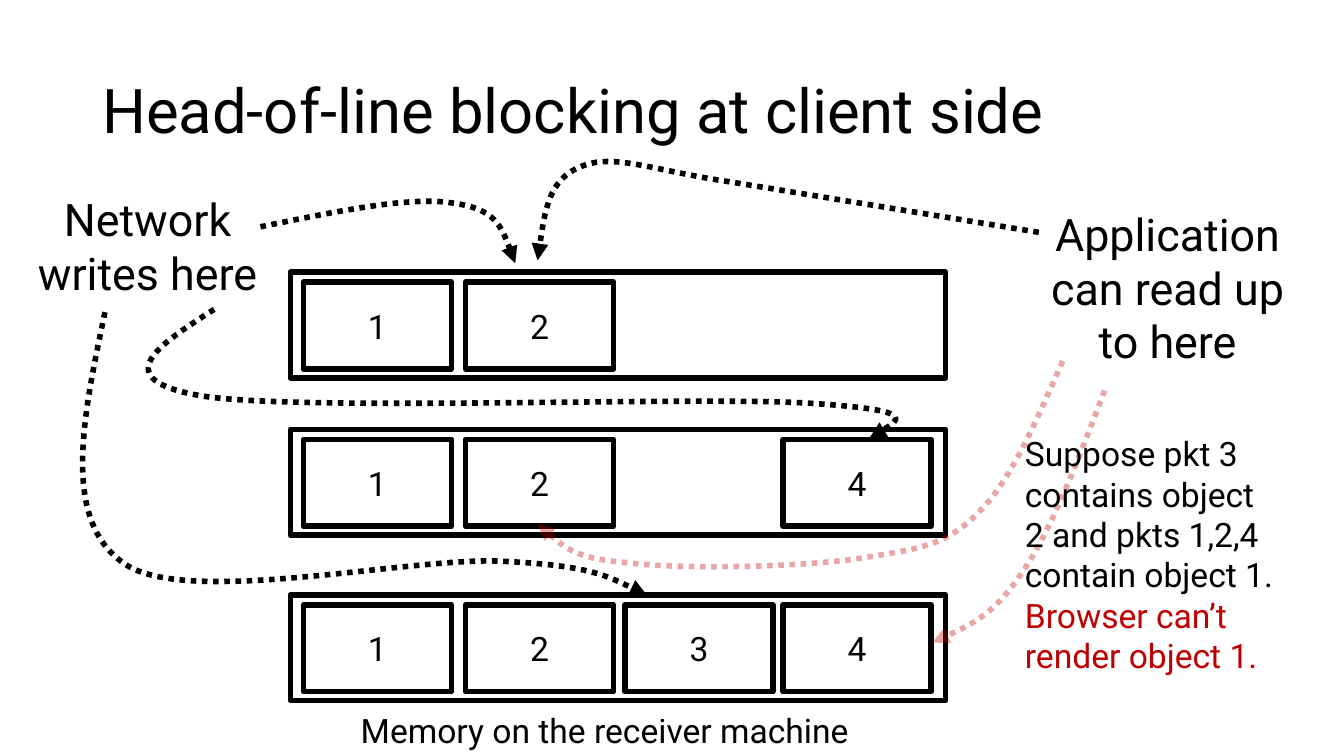
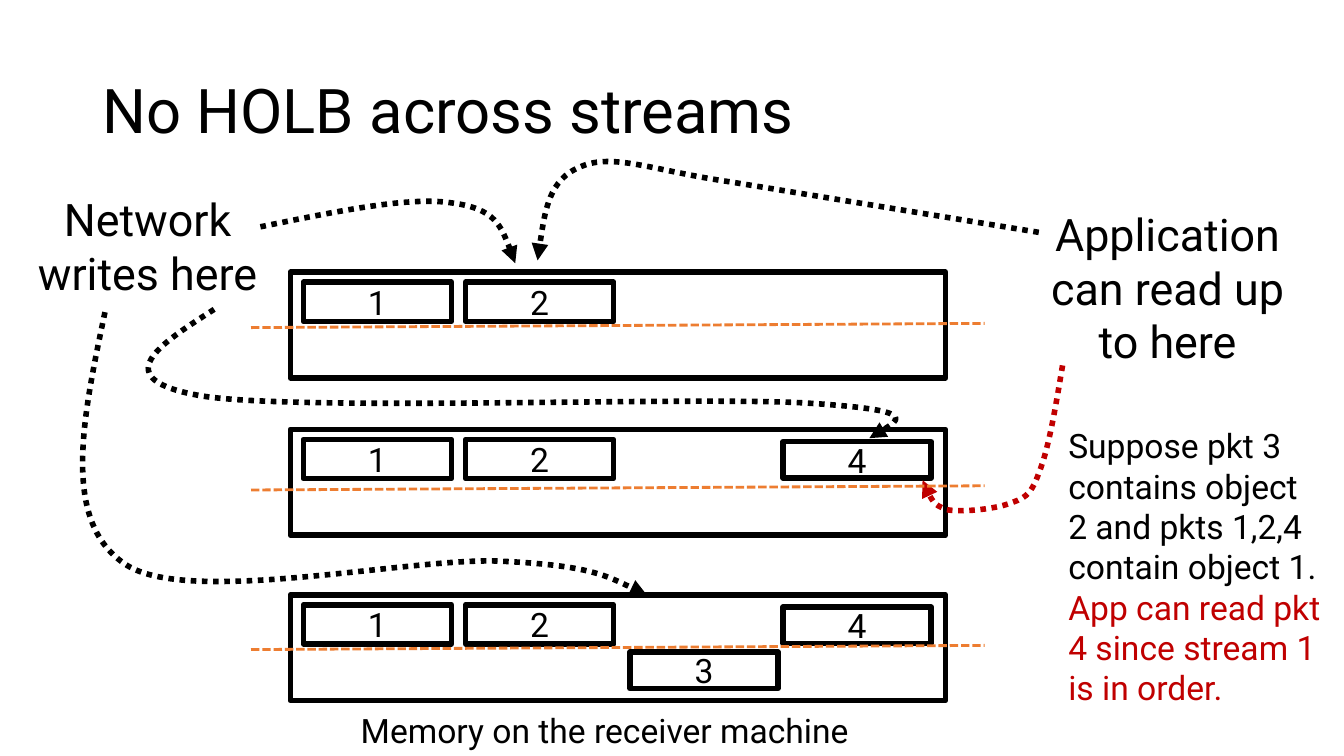
from dataclasses import dataclass
from typing import NamedTuple

from lxml.etree import SubElement
from pptx import Presentation
from pptx.dml.color import RGBColor
from pptx.enum.dml import MSO_LINE as Dash
from pptx.enum.shapes import MSO_CONNECTOR as Connector, MSO_SHAPE as Preset
from pptx.enum.text import MSO_ANCHOR as Anchor, PP_ALIGN as Align
from pptx.oxml.ns import qn
from pptx.util import Pt

FONT = "Roboto"
BLACK, RED, ORANGE = "000000", "C00000", "ED7D31"

BUFFER_LEFT, BUFFER_WIDTH, BUFFER_HEIGHT = 207.4, 468, 75.6
BUFFER_TOPS = (194.4, 306.7, 424.8)
PACKET_WIDTH = 105.8
PACKET_LEFTS = {1: 216.7, 2: 332.6, 3: 446.4, 4: 559.4}
CURVE_STEPS = 24

Point = tuple[float, float]


class Box(NamedTuple):
    left: float
    top: float
    width: float
    height: float


class Packet(NamedTuple):
    number: int
    offset: float
    height: float
    shift: float = 0


class Line(NamedTuple):
    text: str
    color: str = BLACK


class Label(NamedTuple):
    box: Box
    lines: tuple[Line, ...]
    size: float
    align: Align = Align.LEFT
    anchor: Anchor = Anchor.TOP
    spacing: float = 1.0


class Arrow(NamedTuple):
    """A start point, then three points (two controls, one end) per curve."""
    points: tuple[Point, ...]
    color: str = BLACK
    opacity: int = 100


@dataclass
class Scene:
    title: str
    rows: tuple[tuple[Packet, ...], ...]
    arrows: tuple[Arrow, ...]
    note: Label
    divider_tops: tuple[float, ...] = ()


SHARED_LABELS = (
    Label(Box(743, 144, 182.2, 123.8), (Line("Application can read up to here"),), 32, Align.CENTER),
    Label(Box(14.4, 133.2, 182.2, 85), (Line("Network writes here"),), 32, Align.CENTER),
    Label(Box(250.6, 503.3, 391.7, 36), (Line("Memory on the receiver machine"),), 24),
)

SHARED_ARROWS = (
    Arrow(((186, 162), (240, 151), (293, 140), (323, 145),
           (354, 149), (361, 168), (368, 188))),
    Arrow(((742, 166), (668.5, 154), (595.5, 142), (522, 130),
           (467, 122), (438, 109), (415, 119),
           (392, 128), (388, 157), (384, 186))),
    Arrow(((153, 221), (114, 246), (74, 271), (145, 283),
           (216, 294), (498, 283), (577, 288),
           (657, 293), (639, 303), (621, 313))),
    Arrow(((75, 223), (59, 299), (43, 374), (91, 404),
           (138, 433), (298, 397), (360, 401),
           (422, 404), (441, 415), (462, 425))),
)

FULL = {number: Packet(number, 7.2, 62) for number in PACKET_LEFTS}
FIRST, SECOND = Packet(1, 7.2, 28), Packet(2, 7.2, 28)
THIRD, FOURTH = Packet(3, 41, 26, 3.6), Packet(4, 8.8, 26)
PREMISE = Line("Suppose pkt 3 contains object 2 and pkts 1,2,4 contain object 1.")

SCENES = (
    Scene(
        title="Head-of-line blocking at client side",
        rows=tuple(tuple(FULL[number] for number in numbers)
                   for numbers in ((1, 2), (1, 2, 4), (1, 2, 3, 4))),
        arrows=(
            Arrow(((759, 258), (740, 301), (722, 344), (698, 367),
                   (674, 391), (655, 392), (613, 399),
                   (572, 405), (487, 407), (449, 402),
                   (410, 399), (397, 386), (384, 374)), RED, 35),
            Arrow(((789, 279), (770, 329), (751, 379), (730, 409),
                   (710, 439), (688, 449), (666, 459)), RED, 35),
        ),
        note=Label(Box(725, 306, 196.6, 181.4),
                   (PREMISE, Line("Browser can’t render object 1.", RED)), 24),
    ),
    Scene(
        title="No HOLB across streams",
        rows=((FIRST, SECOND), (FIRST, SECOND, FOURTH), (FIRST, SECOND, THIRD, FOURTH)),
        arrows=(
            Arrow(((759, 261), (754, 291), (749, 321), (742, 338),
                   (736, 355), (731, 356), (720, 360),
                   (708, 364), (686, 366), (676, 364),
                   (666, 360), (662, 351), (659, 343)), RED),
        ),
        note=Label(Box(756, 300.2, 196.6, 211),
                   (PREMISE, Line("App can read pkt 4 since stream 1 is in order.", RED)), 24),
        divider_tops=(231, 347, 461),
    ),
)


def rgb(color: str) -> RGBColor:
    return RGBColor.from_string(color)


def apply_format(target, values: dict) -> None:
    for name, value in values.items():
        setattr(target, name, value)


def style_line(shape, color: str, width: float, dash: Dash | None = None) -> None:
    shape.line.color.rgb = rgb(color)
    apply_format(shape.line, {"width": Pt(width), "dash_style": dash})


def add_run(paragraph, line: Line, size: float) -> None:
    run = paragraph.add_run()
    run.text = line.text
    apply_format(run.font, {"name": FONT, "size": Pt(size)})
    run.font.color.rgb = rgb(line.color)


def add_label(slide, label: Label) -> None:
    frame = slide.shapes.add_textbox(*map(Pt, label.box)).text_frame
    apply_format(frame, {"word_wrap": True, "vertical_anchor": label.anchor})
    for index, line in enumerate(label.lines):
        paragraph = frame.add_paragraph() if index else frame.paragraphs[0]
        apply_format(paragraph, {"alignment": label.align, "line_spacing": label.spacing})
        add_run(paragraph, line, label.size)


def add_outline(slide, box: Box):
    shape = slide.shapes.add_shape(Preset.RECTANGLE, *map(Pt, box))
    shape.shadow.inherit = False
    shape.fill.background()
    style_line(shape, BLACK, 4)
    return shape


def add_packet(slide, packet: Packet, buffer_top: float) -> None:
    shape = add_outline(slide, Box(PACKET_LEFTS[packet.number] + packet.shift,
                                   buffer_top + packet.offset, PACKET_WIDTH, packet.height))
    frame = shape.text_frame
    apply_format(frame, {"margin_top": 0, "margin_bottom": 0, "vertical_anchor": Anchor.MIDDLE})
    paragraph = frame.paragraphs[0]
    paragraph.alignment = Align.CENTER
    add_run(paragraph, Line(str(packet.number)), 24)


def add_row(slide, packets: tuple[Packet, ...], top: float) -> None:
    add_outline(slide, Box(BUFFER_LEFT, top, BUFFER_WIDTH, BUFFER_HEIGHT))
    for packet in packets:
        add_packet(slide, packet, top)


def curve_point(corners: tuple[Point, ...], t: float) -> Point:
    """Return the point at t on the cubic curve with these four corners."""
    weights = ((1 - t) ** 3, 3 * t * (1 - t) ** 2, 3 * t ** 2 * (1 - t), t ** 3)
    x, y = (sum(weight * corner[axis] for weight, corner in zip(weights, corners))
            for axis in (0, 1))
    return x, y


def add_arrow(slide, arrow: Arrow) -> None:
    """Fit a freeform to sampled points, then give its path true curves."""
    points = arrow.points
    starts = range(0, len(points) - 1, 3)
    samples = [curve_point(points[start:start + 4], step / CURVE_STEPS)
               for start in starts for step in range(1, CURVE_STEPS + 1)]
    builder = slide.shapes.build_freeform(*map(Pt, points[0]))
    builder.add_line_segments([(Pt(x), Pt(y)) for x, y in samples], close=False)
    shape = builder.convert_to_shape()

    outline = shape.element.xpath(".//a:path")[0]
    for segment in outline.findall(qn("a:lnTo")):
        outline.remove(segment)
    for start in starts:
        curve = SubElement(outline, qn("a:cubicBezTo"))
        for x, y in points[start + 1:start + 4]:
            SubElement(curve, qn("a:pt"), x=str(Pt(x) - shape.left), y=str(Pt(y) - shape.top))

    shape.shadow.inherit = False
    shape.fill.background()
    style_line(shape, arrow.color, 4, Dash.ROUND_DOT)
    line = shape.element.xpath(".//a:ln")[0]
    SubElement(line, qn("a:tailEnd"), type="triangle")
    if arrow.opacity < 100:
        color = line.find(".//" + qn("a:srgbClr"))
        SubElement(color, qn("a:alpha"), val=str(arrow.opacity * 1000))


def add_divider(slide, top: float) -> None:
    """Draw the slightly rising line between two streams."""
    divider = slide.shapes.add_connector(
        Connector.STRAIGHT, Pt(179.3), Pt(top + 3), Pt(703.4), Pt(top))
    style_line(divider, ORANGE, 2, Dash.SQUARE_DOT)
    SubElement(divider.element.spPr, qn("a:effectLst"))


def add_scene(presentation, scene: Scene) -> None:
    slide = presentation.slides.add_slide(presentation.slide_layouts[6])
    add_label(slide, Label(Box(66, 28.8, 828, 104.4), (Line(scene.title),), 44,
                           anchor=Anchor.MIDDLE, spacing=0.9))
    for packets, top in zip(scene.rows, BUFFER_TOPS):
        add_row(slide, packets, top)
    for label in SHARED_LABELS:
        add_label(slide, label)
    for arrow in SHARED_ARROWS + scene.arrows:
        add_arrow(slide, arrow)
    add_label(slide, scene.note)
    for top in scene.divider_tops:
        add_divider(slide, top)


def main() -> None:
    presentation = Presentation()
    apply_format(presentation, {"slide_width": Pt(960), "slide_height": Pt(540)})
    for scene in SCENES:
        add_scene(presentation, scene)
    presentation.save("out.pptx")


if __name__ == "__main__":
    main()
